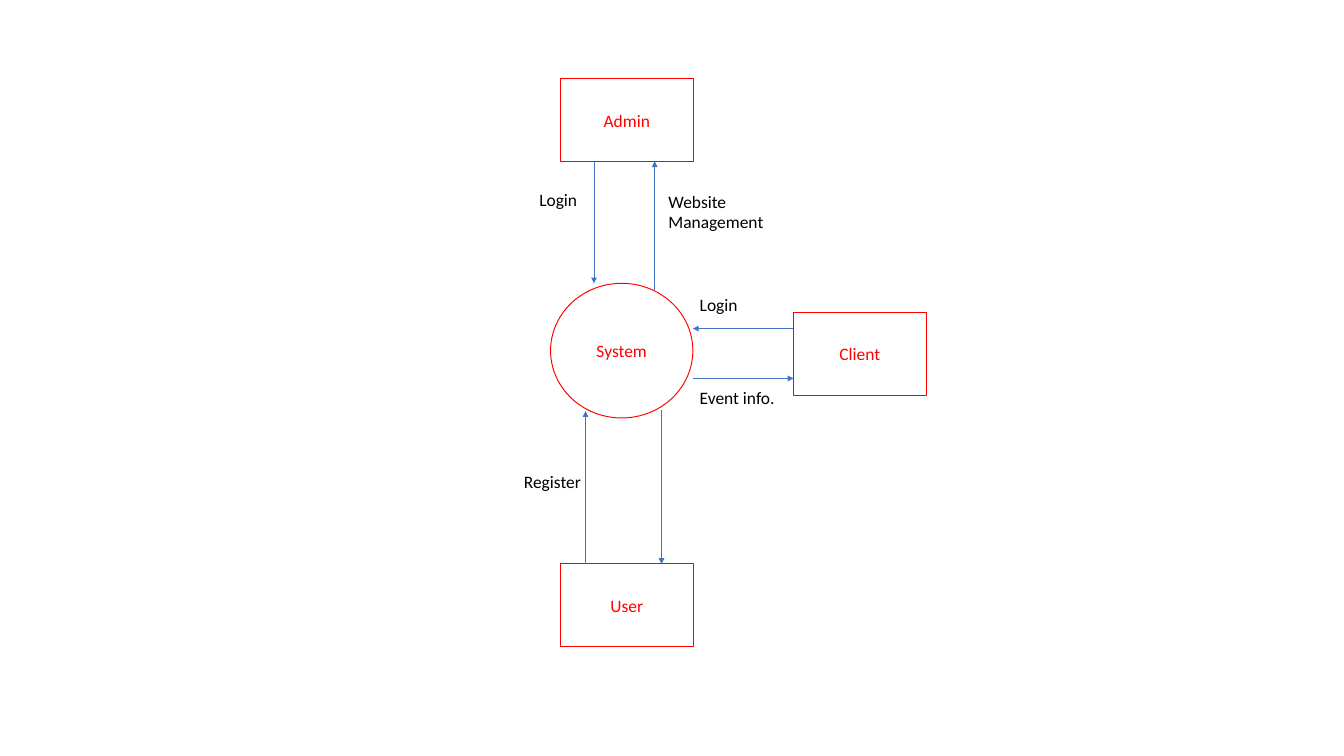
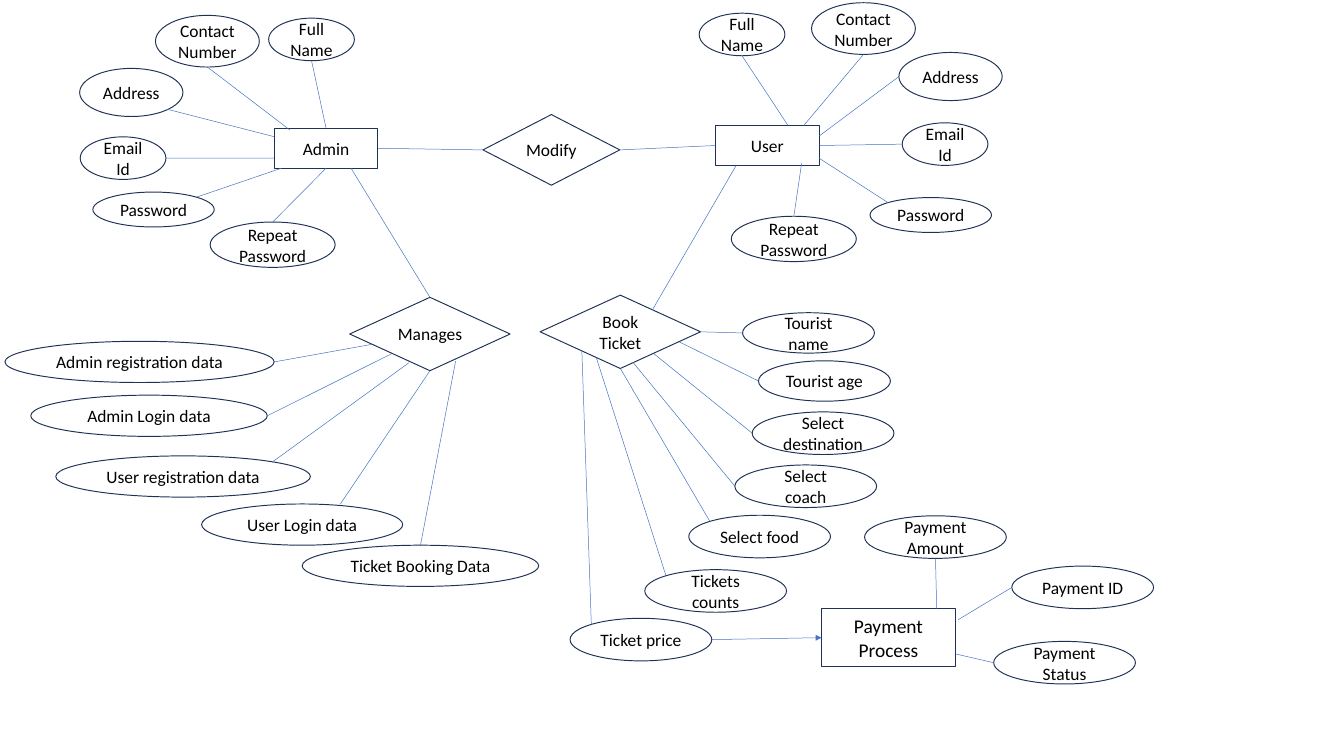
import lxml.etree
import pptx
import pptx.dml.color
import pptx.enum.shapes
import pptx.enum.text
import pptx.oxml.ns
import pptx.util

Cm = pptx.util.Cm
Pt = pptx.util.Pt
RGBColor = pptx.dml.color.RGBColor
KIND = pptx.enum.shapes.MSO_SHAPE
ALIGN = pptx.enum.text.PP_ALIGN
qn = pptx.oxml.ns.qn

WHITE = RGBColor(0xFF, 0xFF, 0xFF)
BLACK = RGBColor(0x00, 0x00, 0x00)
RED = RGBColor(0xFF, 0x00, 0x00)
NAVY = RGBColor(0x1E, 0x32, 0x56)
BLUE = RGBColor(0x44, 0x72, 0xC4)

TOP, LEFT, BOTTOM, RIGHT = (0.5, 0), (0, 0.5), (0.5, 1), (1, 0.5)
TOP_LEFT, TOP_RIGHT, BOTTOM_RIGHT = (0.15, 0.15), (0.85, 0.15), (0.85, 0.85)
SITES = {TOP: 0, LEFT: 1, BOTTOM: 2, RIGHT: 3}


class Diagram:
    font = "Calibri"

    def __init__(self, deck, outline, ink):
        self.outline = outline
        self.ink = ink
        self.slide = deck.slides.add_slide(deck.slide_layouts[6])

    def add_words(self, shape, text, color, align, size=18):
        frame = shape.text_frame
        frame.word_wrap = True
        for number, line in enumerate(text.split("\n")):
            para = frame.add_paragraph() if number else frame.paragraphs[0]
            para.alignment = align
            span = para.add_run()
            span.text = line
            span.font.name = self.font
            span.font.size = Pt(size)
            span.font.color.rgb = color

    def node(self, kind, text, left, top, width, height, size=18):
        shape = self.slide.shapes.add_shape(kind, Cm(left), Cm(top), Cm(width), Cm(height))
        shape.shadow.inherit = False
        shape.fill.solid()
        shape.fill.fore_color.rgb = WHITE
        shape.line.color.rgb = self.outline
        shape.line.width = Pt(1)
        shape.text_frame.vertical_anchor = pptx.enum.text.MSO_ANCHOR.MIDDLE
        self.add_words(shape, text, self.ink, ALIGN.CENTER, size)
        return shape

    def label(self, text, left, top, width, height=1.02):
        box = self.slide.shapes.add_textbox(Cm(left), Cm(top), Cm(width), Cm(height))
        self.add_words(box, text, BLACK, ALIGN.LEFT)

    def link(self, start, end, arrow=False):
        line = self.slide.shapes.add_connector(
            pptx.enum.shapes.MSO_CONNECTOR.STRAIGHT, *start, *end)
        line.line.color.rgb = BLUE
        line.line.width = Pt(0.5)
        if arrow:
            outline = line.line._get_or_add_ln()
            lxml.etree.SubElement(outline, qn("a:tailEnd"), type="triangle")
        lxml.etree.SubElement(line._element.spPr, qn("a:effectLst"))
        return line

    def connect(self, first, first_spot, second, second_spot, arrow=False):
        line = self.link(self.point(first, first_spot), self.point(second, second_spot), arrow)
        if self.has_site(first, first_spot):
            line.begin_connect(first, SITES[first_spot])
        if self.has_site(second, second_spot):
            line.end_connect(second, SITES[second_spot])

    def point(self, shape, spot):
        across, down = spot
        return int(shape.left + shape.width * across), int(shape.top + shape.height * down)

    def has_site(self, shape, spot):
        return spot == TOP or (spot in SITES and shape.auto_shape_type != KIND.OVAL)

    def attributes(self, owner, rows):
        ovals = []
        for text, left, top, width, height, spot, owner_spot in rows:
            oval = self.node(KIND.OVAL, text, left, top, width, height)
            self.connect(owner, owner_spot, oval, spot)
            ovals.append(oval)
        return ovals


def build_context(deck):
    page = Diagram(deck, RED, RED)
    for text, left, top in (("Client", 28.88, 11.38), ("User", 20.4, 20.52), ("Admin", 20.4, 2.87)):
        page.node(KIND.RECTANGLE, text, left, top, 4.83, 3)
    page.node(KIND.OVAL, "System", 20.04, 10.31, 5.18, 4.9)

    for x, start, end in ((21.62, 5.87, 10.31), (23.83, 10.57, 5.87),
                          (21.31, 20.52, 14.96), (24.08, 14.91, 20.52)):
        page.link((Cm(x), Cm(start)), (Cm(x), Cm(end)), arrow=True)
    for y, start, end in ((11.96, 28.88, 25.22), (13.77, 25.22, 28.88)):
        page.link((Cm(start), Cm(y)), (Cm(end), Cm(y)), arrow=True)

    page.label("Login", 25.22, 10.57, 3.25)
    page.label("Event info.", 25.22, 13.97, 4.04)
    page.label("Website Management", 24.08, 6.81, 4.39, 1.8)
    page.label("Login", 19.38, 6.76, 3.25)
    page.label("Register", 18.82, 17.02, 3.25)


def build_entities(deck):
    page = Diagram(deck, NAVY, BLACK)
    admin = page.node(KIND.RECTANGLE, "Admin", 9.98, 4.67, 3.78, 1.45)
    user = page.node(KIND.RECTANGLE, "User", 26.04, 4.57, 3.78, 1.45)
    modify = page.node(KIND.DIAMOND, "Modify", 17.58, 4.17, 4.98, 2.57)
    manages = page.node(KIND.DIAMOND, "Manages", 12.73, 10.82, 5.84, 2.67)
    book = page.node(KIND.DIAMOND, "Book Ticket", 19.66, 10.74, 5.84, 2.67)
    payment = page.node(KIND.RECTANGLE, "Payment\nProcess", 29.9, 22.15, 4.88, 2.11, size=20)

    page.connect(admin, RIGHT, modify, LEFT)
    page.connect(modify, RIGHT, user, LEFT)
    page.connect(admin, (0.74, 1), manages, TOP)
    page.connect(user, (0.2, 1), book, (0.7, 0.2))

    account_fields = (
        ("Full Name", 3.12, 1.55), ("Contact Number", 3.78, 1.88), ("Address", 3.76, 1.75),
        ("Email Id", 3.12, 1.55), ("Password", 4.42, 1.27), ("Repeat Password", 4.55, 1.65))
    admin_places = (
        (9.78, 0.66, BOTTOM, TOP), (5.66, 0.56, BOTTOM, (0.15, 0.04)),
        (2.9, 2.49, BOTTOM_RIGHT, (0, 0.21)), (2.92, 4.98, RIGHT, (0, 0.75)),
        (3.38, 6.99, TOP_RIGHT, (0.07, 1)), (7.65, 8.08, TOP, BOTTOM))
    user_places = (
        (25.45, 0.48, BOTTOM, (0.7, 0)), (29.54, 0.1, BOTTOM, (0.85, 0)),
        (32.72, 1.91, LEFT, (1, 0.26)), (32.84, 4.47, LEFT, RIGHT),
        (31.67, 7.19, TOP_LEFT, (1, 0.82)), (26.62, 7.87, TOP, (0.83, 0.95)))
    for owner, places in ((admin, admin_places), (user, user_places)):
        page.attributes(owner, [
            (text, left, top, width, height, spot, owner_spot)
            for (text, width, height), (left, top, spot, owner_spot)
            in zip(account_fields, places)])

    page.attributes(manages, (
        ("Admin registration data", 0.18, 12.42, 9.8, 1.5, RIGHT, (0.14, 0.64)),
        ("Admin Login data", 1.12, 14.38, 8.61, 1.5, RIGHT, (0.26, 0.77)),
        ("User registration data", 2.03, 16.59, 9.27, 1.5, TOP_RIGHT, (0.37, 0.89)),
        ("User Login data", 7.34, 18.34, 7.32, 1.5, (0.69, 0), BOTTOM),
        ("Ticket Booking Data", 11, 19.84, 8.61, 1.5, TOP, (0.66, 0.87))))

    wide = (5.16, 1.55)
    booking = page.attributes(book, (
        ("Tourist name", 27.03, 11.38, 4.8, 1.47, LEFT, RIGHT),
        ("Tourist age", 27.61, 13.13, 4.8, 1.47, LEFT, (0.87, 0.64)),
        ("Select destination", 27.38, 14.99, *wide, LEFT, (0.71, 0.8)),
        ("Select coach", 26.75, 16.92, *wide, LEFT, (0.58, 0.92)),
        ("Select food", 25.07, 18.75, *wide, TOP_LEFT, BOTTOM),
        ("Tickets counts", 23.47, 20.73, *wide, TOP_LEFT, (0.35, 0.85)),
        ("Ticket price", 20.75, 22.5, *wide, TOP_LEFT, (0.26, 0.75))))
    ticket_price = booking[-1]
    page.connect(ticket_price, RIGHT, payment, LEFT, arrow=True)

    page.attributes(payment, (
        ("Payment Amount", 31.47, 18.77, *wide, BOTTOM, (0.86, 0)),
        ("Payment ID", 36.83, 20.6, *wide, LEFT, (1.02, 0.19)),
        ("Payment Status", 36.17, 23.34, *wide, LEFT, (1, 0.78))))


def main():
    deck = pptx.Presentation()
    deck.slide_width = Cm(48.92)
    deck.slide_height = Cm(27.51)
    build_context(deck)
    build_entities(deck)
    deck.save("out.pptx")


if __name__ == "__main__":
    main()
